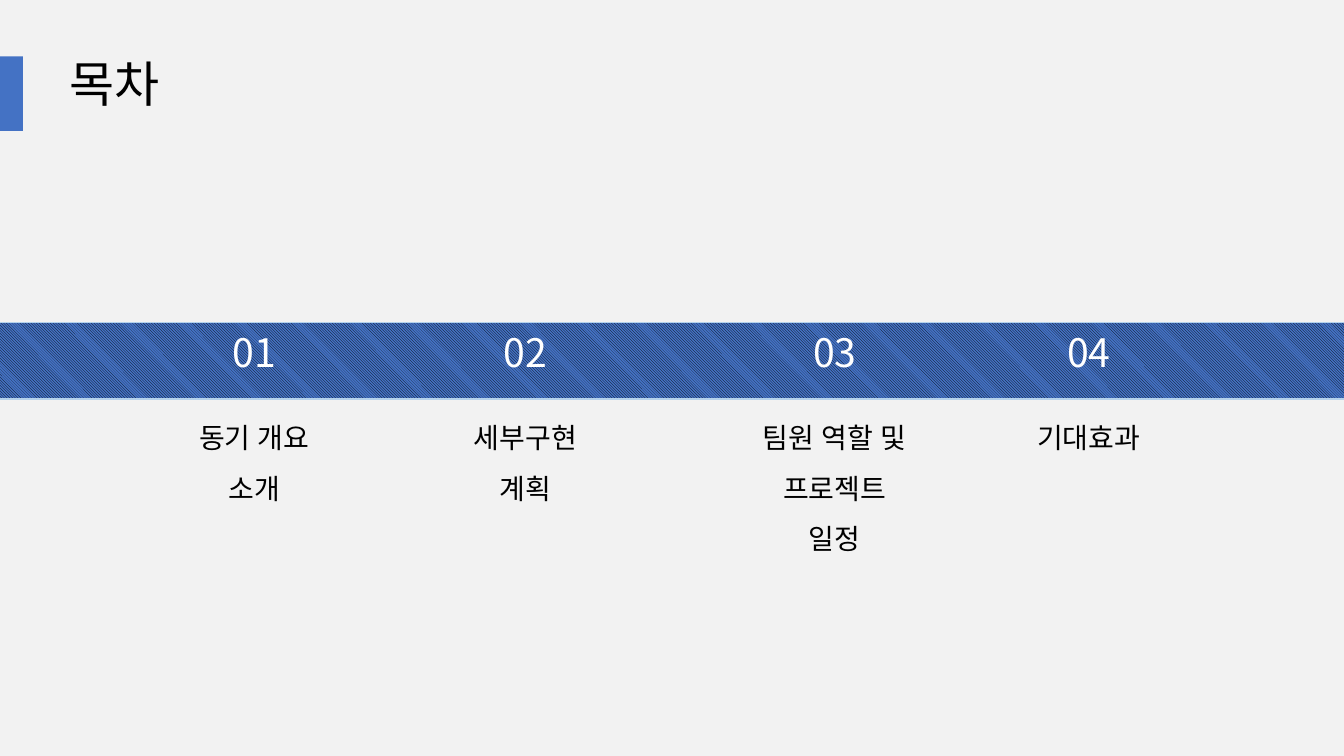
from pptx import Presentation
from pptx.dml.color import RGBColor
from pptx.enum.dml import MSO_PATTERN
from pptx.enum.shapes import MSO_SHAPE
from pptx.enum.text import MSO_AUTO_SIZE, PP_ALIGN
from pptx.oxml.ns import qn
from pptx.util import Cm, Pt
from lxml.etree import SubElement

COLORS = {"page": "F2F2F2", "blue": "4472C4", "edge": "B5D2EC",
          "black": "000000", "white": "FFFFFF"}
COLORS = {name: RGBColor.from_string(value) for name, value in COLORS.items()}

TITLE = {"size": Pt(35), "name": "Noto Sans CJK KR"}
NUMBER = {"size": Pt(28), "name": "Noto Sans CJK KR"}
TOPIC = {"size": Pt(20), "name": "Lato"}

deck = Presentation()
deck.slide_width, deck.slide_height = Cm(33.87), Cm(19.05)
page = deck.slides.add_slide(deck.slide_layouts[6])
page.background.fill.solid()
page.background.fill.fore_color.rgb = COLORS["page"]


def add_bar(left, top, width, height):
    """Add a shadowless rectangle, measured in centimetres."""
    bar = page.shapes.add_shape(MSO_SHAPE.RECTANGLE, Cm(left), Cm(top), Cm(width), Cm(height))
    bar.shadow.inherit = False
    return bar


def add_text(left, top, width, height, lines, style, color, align, spacing):
    """Add a wrapping text box with one paragraph for each line."""
    box = page.shapes.add_textbox(Cm(left), Cm(top), Cm(width), Cm(height))
    frame = box.text_frame
    frame.word_wrap = True
    frame.auto_size = MSO_AUTO_SIZE.SHAPE_TO_FIT_TEXT
    frame.margin_left = frame.margin_right = Cm(0.28)
    frame.text = "\n".join(lines)
    for para in frame.paragraphs:
        para.alignment, para.line_spacing = align, spacing
        span = para.runs[0]
        for key, value in style.items():
            setattr(span.font, key, value)
        span.font.color.rgb = COLORS[color]
        east_asian = SubElement(span.font._element, qn("a:ea"))
        east_asian.set("typeface", style["name"])


band = add_bar(-0.13, 8.13, 34.06, 1.93)
band.fill.patterned()
band.fill.pattern = MSO_PATTERN.LIGHT_DOWNWARD_DIAGONAL
band.fill.fore_color.rgb = COLORS["black"]
band.fill.back_color.rgb = COLORS["blue"]
band.line.color.rgb = COLORS["edge"]
band.line.width = Pt(1)

marker = add_bar(0, 1.42, 0.58, 1.88)
marker.fill.solid()
marker.fill.fore_color.rgb = COLORS["blue"]
marker.line.fill.background()

add_text(1.47, 1.42, 30.86, 1.75, ["목차"], TITLE, "black", PP_ALIGN.LEFT, 0.88)

topics = [
    (4.1, ["동기 개요 소개"]),
    (10.93, ["세부구현 계획"]),
    (18.73, ["팀원 역할 및", "프로젝트 일정"]),
    (25.13, ["기대효과"]),
]
for index, (left, lines) in enumerate(topics, start=1):
    add_text(left, 8.31, 4.62, 1.45, [f"{index:02}"], NUMBER, "white", PP_ALIGN.CENTER, 0.88)
    add_text(left, 10.06, 4.62, 1.3 * len(lines), lines, TOPIC, "black", PP_ALIGN.CENTER, 1.5)

deck.save("out.pptx")
